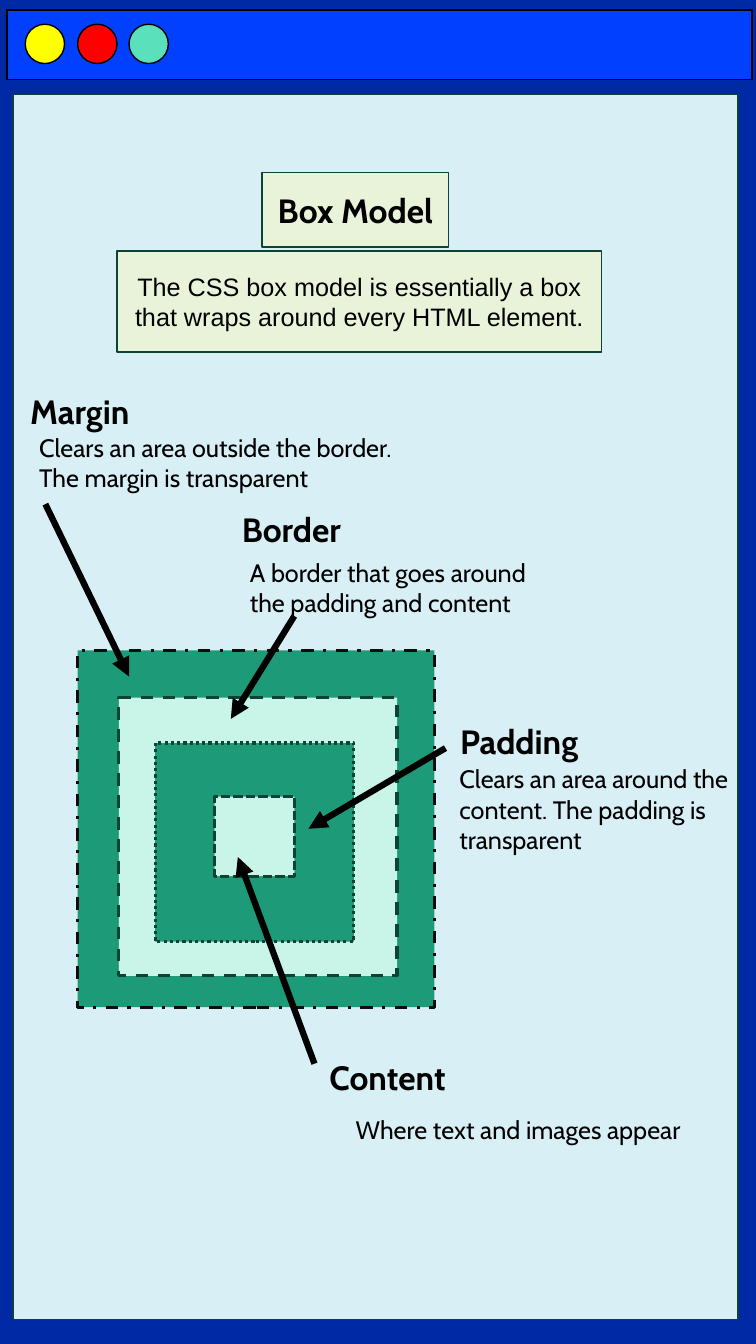
from lxml.etree import SubElement
from pptx import Presentation
from pptx.dml.color import RGBColor
from pptx.enum.dml import MSO_LINE
from pptx.enum.shapes import MSO_CONNECTOR, MSO_SHAPE
from pptx.enum.text import MSO_ANCHOR, MSO_AUTO_SIZE, PP_ALIGN
from pptx.oxml.ns import qn
from pptx.util import Pt

PX = 9144  # EMU per px, 100 px to the inch
WIDTH, HEIGHT = 750, 1333

NAVY = RGBColor(0x00, 0x29, 0xA6)
BLUE = RGBColor(0x02, 0x40, 0xFF)
YELLOW = RGBColor(0xFF, 0xFF, 0x00)
RED = RGBColor(0xFF, 0x00, 0x00)
MINT = RGBColor(0x5A, 0xE0, 0xBB)
SKY = RGBColor(0xD7, 0xEF, 0xF5)
CREAM = RGBColor(0xE8, 0xF3, 0xDA)
GREEN = RGBColor(0x1D, 0x9A, 0x78)
PALE = RGBColor(0xC8, 0xF5, 0xE8)
FOREST = RGBColor(0x0D, 0x43, 0x35)
INK = RGBColor(0x0D, 0x0D, 0x0D)
BLACK = RGBColor(0x00, 0x00, 0x00)

TITLE = "Box Model"
TITLE_AREA = (260, 171, 185, 74)
SUMMARY = "The CSS box model is essentially a box that wraps around every HTML element."
SUMMARY_AREA = (116, 249, 481, 100)

BAR_AREA = (7, 10, 739, 69)
PANEL_AREA = (13, 94, 719, 1215)
BUTTONS = [(25, YELLOW), (77, RED), (128, MINT)]
BUTTON_TOP, BUTTON_SIZE = 24, 39

# left, top, side, fill, outline, dash
RINGS = [
    (77, 645, 354, GREEN, INK, MSO_LINE.DASH_DOT),
    (118, 692, 276, PALE, FOREST, MSO_LINE.DASH),
    (154, 737, 197, GREEN, FOREST, MSO_LINE.ROUND_DOT),
    (213, 790, 79, PALE, FOREST, MSO_LINE.SQUARE_DOT),
]

# heading, its area, its alignment, arrow, description, its area
CALLOUTS = [
    ("Content", (317, 1034, 202, 68), PP_ALIGN.LEFT, (312, 1055, 236, 850),
     "Where text and images appear", (343, 1092, 344, 56)),
    ("Padding", (426, 699, 178, 71), PP_ALIGN.CENTER, (442, 742, 306, 822),
     "Clears an area around the content. The padding is transparent",
     (446, 773, 342, 59)),
    ("Border", (230, 505, 202, 39), PP_ALIGN.LEFT, (292, 611, 229, 713),
     "A border that goes around the padding and content",
     (238, 553, 311, 59)),
    ("Margin", (20, 372, 184, 71), PP_ALIGN.LEFT, (45, 500, 128, 671),
     "Clears an area outside the border. The margin is transparent",
     (29, 429, 412, 59)),
]


def emu(lengths):
    return [length * PX for length in lengths]


def paint(shape, fill, outline, weight=1):
    shape.fill.solid()
    shape.fill.fore_color.rgb = fill
    shape.line.color.rgb = outline
    shape.line.width = Pt(weight)


def add_figure(page, kind, area, fill, outline, weight=1):
    shape = page.shapes.add_shape(kind, *emu(area))
    shape.shadow.inherit = False
    paint(shape, fill, outline, weight)
    return shape


def write(shape, text, size, name="Cabin", bold=False, align=PP_ALIGN.LEFT):
    frame = shape.text_frame
    frame.word_wrap = True
    frame.auto_size = MSO_AUTO_SIZE.NONE
    frame.vertical_anchor = MSO_ANCHOR.MIDDLE
    para = frame.paragraphs[0]
    para.text = text
    para.alignment = align
    para.font.size = Pt(size)
    para.font.name = name
    para.font.bold = bold
    para.font.color.rgb = BLACK


def add_arrow(page, ends):
    arrow = page.shapes.add_connector(MSO_CONNECTOR.STRAIGHT, *emu(ends))
    arrow.line.color.rgb = BLACK
    arrow.line.width = Pt(4.5)
    SubElement(arrow.line._get_or_add_ln(), qn("a:tailEnd"), type="triangle")
    SubElement(arrow._element.spPr, qn("a:effectLst"))


def add_title(page):
    title = page.shapes.title
    title.left, title.top, title.width, title.height = emu(TITLE_AREA)
    paint(title, CREAM, FOREST)
    write(title, TITLE, 24, bold=True, align=PP_ALIGN.CENTER)
    page.shapes._spTree.append(title._element)  # in front of the panel


def add_callout(page, heading, heading_area, align, arrow, text, text_area):
    write(page.shapes.add_textbox(*emu(heading_area)), heading, 24,
          bold=True, align=align)
    add_arrow(page, arrow)
    write(page.shapes.add_textbox(*emu(text_area)), text, 18)


def main():
    deck = Presentation()
    deck.slide_width, deck.slide_height = emu((WIDTH, HEIGHT))
    page = deck.slides.add_slide(deck.slide_layouts.get_by_name("Title Only"))
    page.background.fill.solid()
    page.background.fill.fore_color.rgb = NAVY

    add_figure(page, MSO_SHAPE.RECTANGLE, BAR_AREA, BLUE, BLACK)
    for left, fill in BUTTONS:
        area = (left, BUTTON_TOP, BUTTON_SIZE, BUTTON_SIZE)
        add_figure(page, MSO_SHAPE.OVAL, area, fill, BLACK)
    add_figure(page, MSO_SHAPE.RECTANGLE, PANEL_AREA, SKY, FOREST)

    add_title(page)
    summary = add_figure(page, MSO_SHAPE.RECTANGLE, SUMMARY_AREA, CREAM, FOREST)
    write(summary, SUMMARY, 18, name="Arial", align=PP_ALIGN.CENTER)

    for left, top, side, fill, outline, dash in RINGS:
        ring = add_figure(page, MSO_SHAPE.RECTANGLE, (left, top, side, side),
                          fill, outline, 2.25)
        ring.line.dash_style = dash
    for callout in CALLOUTS:
        add_callout(page, *callout)

    deck.save("out.pptx")


if __name__ == "__main__":
    main()
